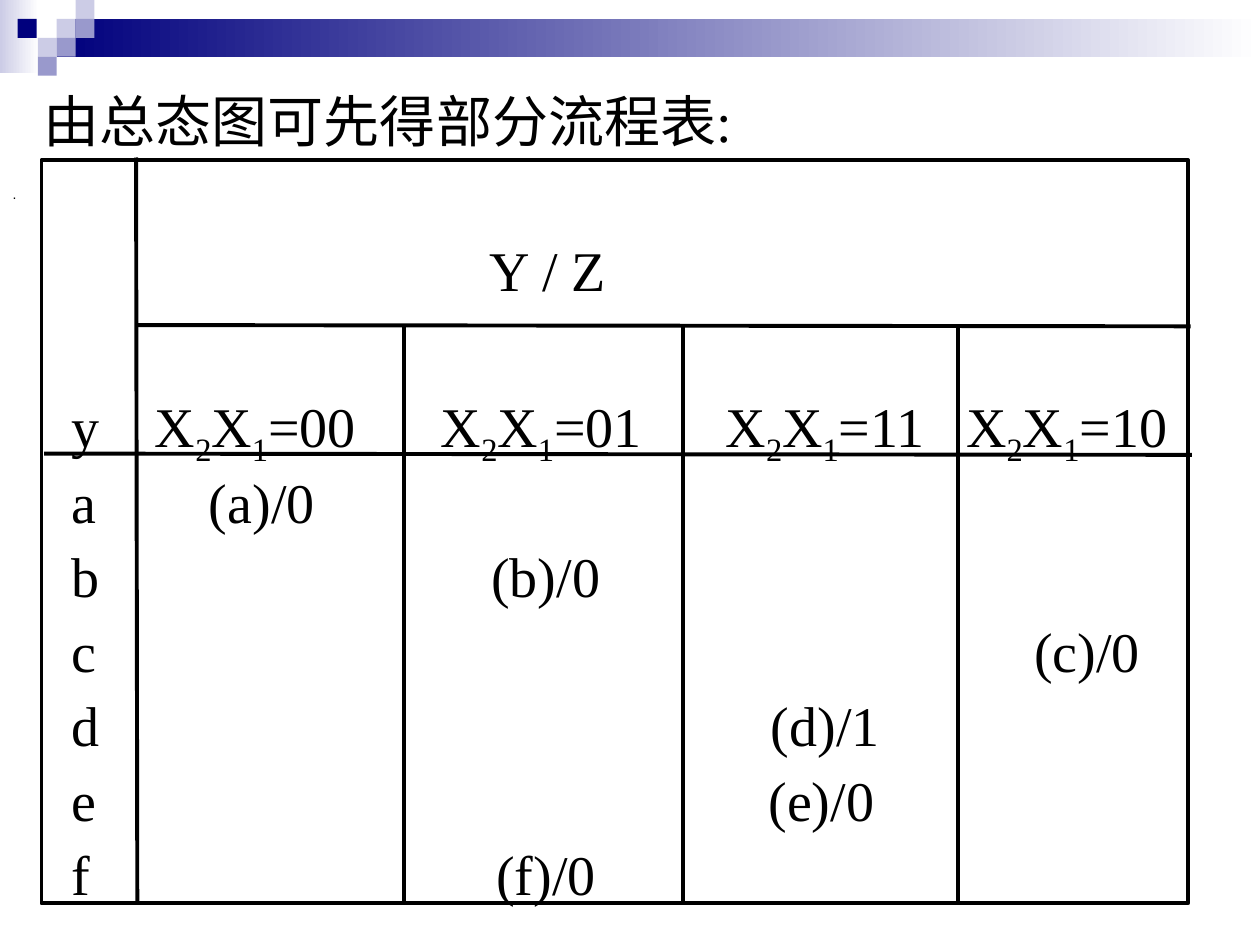
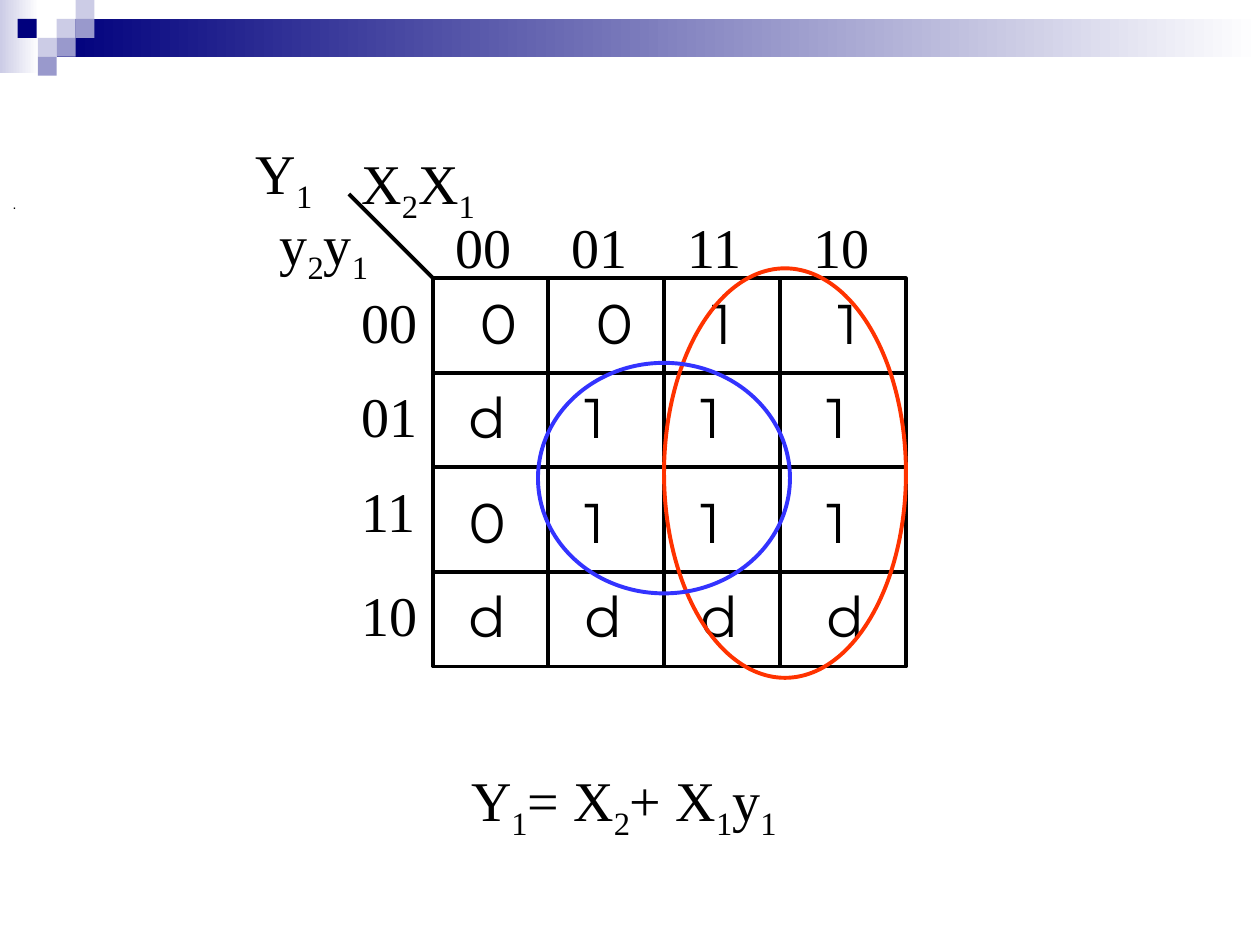
from dataclasses import dataclass

from lxml import etree
from pptx import Presentation
from pptx.dml.color import RGBColor
from pptx.enum.shapes import MSO_CONNECTOR, MSO_SHAPE
from pptx.enum.text import MSO_ANCHOR, MSO_AUTO_SIZE, PP_ALIGN
from pptx.oxml.ns import qn
from pptx.util import Inches, Pt

RECTANGLE, OVAL = MSO_SHAPE.RECTANGLE, MSO_SHAPE.OVAL
STRAIGHT = MSO_CONNECTOR.STRAIGHT
MIDDLE = MSO_ANCHOR.MIDDLE
LEFT = PP_ALIGN.LEFT
NO_FIT, GROW = MSO_AUTO_SIZE.NONE, MSO_AUTO_SIZE.SHAPE_TO_FIT_TEXT
TITLE_ONLY = 5


@dataclass(frozen=True)
class Theme:
    black: str = "000000"
    white: str = "FFFFFF"
    navy: str = "00007D"
    lilac: str = "CCCCE6"
    violet: str = "9999CC"
    red: str = "FF3300"
    blue: str = "3333FF"
    title_font: str = "Arial"
    text_font: str = "Times New Roman"
    cell_font: str = "Montserrat"
    title_size: float = 8
    text_size: float = 32
    rule_width: float = 2.25
    line_height: float = 34.6


THEME = Theme()


# Basic elements
def add_block(page, left, top, width, height, color, fade=False):
    """Add a borderless rectangle, plain or fading to white on the right."""
    block = page.shapes.add_shape(
        RECTANGLE, Inches(left), Inches(top), Inches(width), Inches(height))
    block.shadow.inherit = False
    block.line.fill.background()
    if fade:
        block.fill.gradient()
        block.fill.gradient_angle = 0
        for stop, stop_color in zip(block.fill.gradient_stops, (color, THEME.white)):
            stop.color.rgb = RGBColor.from_string(stop_color)
    else:
        block.fill.solid()
        block.fill.fore_color.rgb = RGBColor.from_string(color)
    return block


def style_line(line, color):
    line.color.rgb = RGBColor.from_string(color)
    line.width = Pt(THEME.rule_width)


def add_outline(page, kind, left, top, width, height, color=THEME.black):
    outline = page.shapes.add_shape(
        kind, Inches(left), Inches(top), Inches(width), Inches(height))
    outline.shadow.inherit = False
    outline.fill.background()
    style_line(outline.line, color)


def add_rule(page, x1, y1, x2, y2):
    rule = page.shapes.add_connector(
        STRAIGHT, Inches(x1), Inches(y1), Inches(x2), Inches(y2))
    style_line(rule.line, THEME.black)
    etree.SubElement(rule._element.spPr, qn("a:effectLst"))


def set_font(para, name, size):
    para.font.name = name
    para.font.size = Pt(size)
    para.font.color.rgb = RGBColor.from_string(THEME.black)


def write_formula(para, text):
    """Write text in which an underscore makes the next character a subscript."""
    first, *rest = text.split("_")
    pieces = [(first, False)]
    for part in rest:
        pieces += [(part[0], True), (part[1:], False)]
    for piece, lowered in pieces:
        if piece:
            span = para.add_run()
            span.text = piece
            if lowered:
                span.font._element.set("baseline", "-25000")


def add_label(page, text, left, top, width=0.68, height=0.64,
              font=THEME.text_font):
    box = page.shapes.add_textbox(
        Inches(left), Inches(top), Inches(width), Inches(height))
    box.text_frame.word_wrap = False
    box.text_frame.auto_size = GROW
    para = box.text_frame.paragraphs[0]
    para.alignment = LEFT
    set_font(para, font, THEME.text_size)
    write_formula(para, text)


def add_tabbed_line(para, cells, space_before):
    """Write (position, text) cells, each one at its own tab stop."""
    para.line_spacing = Pt(THEME.line_height)
    para.space_before = Pt(space_before)
    stops = [position for position, _ in cells if position]
    if stops:
        tab_list = etree.SubElement(para._p.get_or_add_pPr(), qn("a:tabLst"))
        for position in stops:
            etree.SubElement(tab_list, qn("a:tab"),
                             pos=str(Inches(position)), algn="l")
    set_font(para, THEME.text_font, THEME.text_size)
    write_formula(para, "".join(
        ("\t" if position else "") + text for position, text in cells))


# Shared page parts
def decorate_master(deck, page):
    """Draw the top band and its squares, and hand them to the master."""
    blocks = [
        add_block(page, 0, 0, 0.31, 0.58, THEME.lilac, fade=True),
        add_block(page, 0.45, 0.15, 9.55, 0.3, THEME.navy, fade=True),
    ]
    squares = [
        (0.45, 0.15, THEME.lilac), (0.6, 0, THEME.lilac),
        (0.6, 0.15, THEME.violet), (0.3, 0.3, THEME.lilac),
        (0.14, 0.15, THEME.navy), (0.45, 0.3, THEME.violet),
        (0.3, 0.45, THEME.violet),
    ]
    blocks += [add_block(page, left, top, 0.15, 0.15, color)
               for left, top, color in squares]
    for block in blocks:
        deck.slide_master.shapes._spTree.append(block._element)


def add_page(deck, title_top, title_width):
    page = deck.slides.add_slide(deck.slide_layouts[TITLE_ONLY])
    title = page.shapes.title
    title.left, title.top = Inches(0), Inches(title_top)
    title.width, title.height = Inches(title_width), Inches(0.23)
    frame = title.text_frame
    frame.text = "."
    frame.auto_size = NO_FIT
    frame.vertical_anchor = MIDDLE
    para = frame.paragraphs[0]
    para.alignment = LEFT
    set_font(para, THEME.title_font, THEME.title_size)
    return page


# Flow table
def add_flow_text(page):
    state_x = 0.22
    header = [(state_x, "y"), (0.88, "X_2X_1=00"), (3.15, "X_2X_1=01"),
              (5.41, "X_2X_1=11"), (7.32, "X_2X_1=10")]
    lines = [
        ([(0, "由总态图可先得部分流程表:")], 0),
        ([(3.54, "Y / Z")], 50.3),
        (header, 60),
    ]
    entries = [("a", 1.31, "(a)/0"), ("b", 3.55, "(b)/0"), ("c", 7.86, "(c)/0"),
               ("d", 5.77, "(d)/1"), ("e", 5.75, "(e)/0"), ("f", 3.59, "(f)/0")]
    for state, position, entry in entries:
        space_before = 3.4 if state == "a" else 8
        lines.append(([(state_x, state), (position, entry)], space_before))

    box = page.shapes.add_textbox(
        Inches(0.25), Inches(0.69), Inches(9.75), Inches(6.81))
    frame = box.text_frame
    frame.word_wrap = True
    for index, (cells, space_before) in enumerate(lines):
        para = frame.add_paragraph() if index else frame.paragraphs[0]
        add_tabbed_line(para, cells, space_before)


def add_flow_grid(page):
    top, bottom, header_top = 1.27, 7.17, 2.58
    add_outline(page, RECTANGLE, 0.33, top, 9.1, bottom - top)
    add_rule(page, 1.08, 1.25, 1.09, 7.15)
    add_rule(page, 0.35, 3.6, 9.46, 3.61)
    add_rule(page, 1.08, header_top, 9.45, 2.59)
    for x in (3.21, 5.42, 7.6):
        add_rule(page, x, header_top, x, bottom)


# Karnaugh map
def add_map_grid(page):
    left, *inner_x, right = 3.44, 4.35, 5.27, 6.19, 7.19
    top, *inner_y, bottom = 2.21, 2.96, 3.71, 4.54, 5.29
    add_outline(page, RECTANGLE, left, top, right - left, bottom - top)
    for y in inner_y:
        add_rule(page, left, y, right, y)
    for x in inner_x:
        add_rule(page, x, top, x, bottom)
    add_rule(page, left, top, 2.77, 1.54)


def add_map_labels(page):
    add_label(page, "Y_1", 1.93, 1.05, 0.65, 0.71)
    add_label(page, "y_2y_1", 2.12, 1.61, 0.92, 0.71)
    add_label(page, "X_2X_1", 2.77, 1.13, 1.92, 0.71)

    codes = ("00", "01", "11", "10")
    column_x = (3.52, 4.44, 5.36, 6.36)
    for code, x, y in zip(codes, column_x, (2.23, 2.98, 3.73, 4.56)):
        add_label(page, code, x, 1.64)
        add_label(page, code, 2.77, y)

    rows = (("0011", 2.24, 0.19), ("d111", 2.99, 0.1),
            ("0111", 3.82, 0.1), ("dddd", 4.57, 0.1))
    for values, y, shift in rows:
        for value, x in zip(values, column_x):
            width = 0.47 if value == "d" else 0.45
            add_label(page, value, x + shift, y, width, font=THEME.cell_font)


def add_map_groups(page):
    add_outline(page, OVAL, 5.27, 2.13, 1.92, 3.25, THEME.red)
    add_outline(page, OVAL, 4.27, 2.88, 2, 1.83, THEME.blue)


def main():
    deck = Presentation()
    deck.slide_width, deck.slide_height = Inches(10), Inches(7.5)

    # Partial flow table
    flow_page = add_page(deck, 1.42, 7.74)
    decorate_master(deck, flow_page)
    add_flow_text(flow_page)
    add_flow_grid(flow_page)

    # Karnaugh map and its result
    map_page = add_page(deck, 1.5, 8.5)
    add_map_grid(map_page)
    add_map_labels(map_page)
    add_map_groups(map_page)
    add_label(map_page, "Y_1= X_2+ X_1y_1", 3.64, 6.03, 2.7, 0.71)

    deck.save("out.pptx")


if __name__ == "__main__":
    main()
